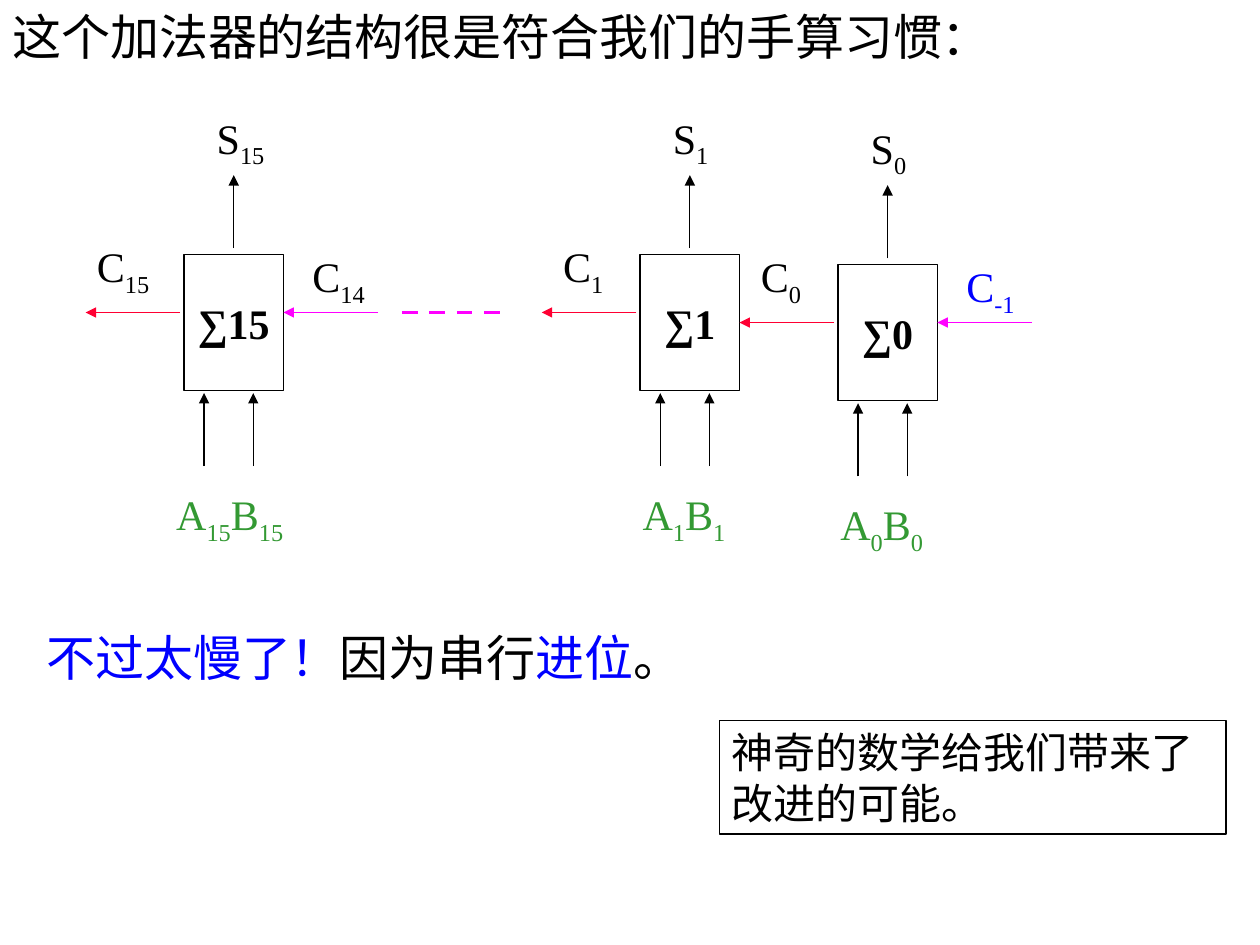
from lxml import etree
from pptx import Presentation
from pptx.dml.color import RGBColor
from pptx.enum.dml import MSO_LINE
from pptx.enum.shapes import MSO_CONNECTOR, MSO_SHAPE
from pptx.enum.text import MSO_ANCHOR, PP_ALIGN
from pptx.oxml.ns import qn
from pptx.util import Inches, Pt

STRAIGHT = MSO_CONNECTOR.STRAIGHT
RECTANGLE = MSO_SHAPE.RECTANGLE
MIDDLE = MSO_ANCHOR.MIDDLE
LEFT, CENTER = PP_ALIGN.LEFT, PP_ALIGN.CENTER
DASH = MSO_LINE.DASH

FONT = "Times New Roman"
BLACK, WHITE, BLUE = "000000", "FFFFFF", "0000FF"
RED, MAGENTA, GREEN = "FF0033", "FF00FF", "339933"
ADDER_WIDTH, ADDER_HEIGHT = 0.79, 1.08
CARRY_OFFSET = 0.46
SPACE = 0.08
RIGHT_SIDE = 3


def color(hex_string):
    return RGBColor.from_string(hex_string)


def write(shape, spans, size=24, bold=False, align=LEFT, before=0, indent=0):
    """Fill a shape with one paragraph of (text, colour, is_subscript) spans."""
    frame = shape.text_frame
    frame.margin_left = Inches(0.1 + indent)
    para = frame.paragraphs[0]
    para.alignment = align
    para.space_before = Pt(before)
    for text, hue, is_subscript in spans:
        span = para.add_run()
        span.text = text
        span.font.name = FONT
        span.font.size = Pt(size)
        span.font.bold = bold
        span.font.color.rgb = color(hue)
        if is_subscript:
            span.font._element.set("baseline", "-25000")


def add_text(page, left, top, width, height, spans, **style):
    box = page.shapes.add_textbox(
        Inches(left), Inches(top), Inches(width), Inches(height))
    box.text_frame.word_wrap = True
    write(box, spans, **style)


def add_symbol(page, left, top, width, parts, hue=BLACK, indent=0):
    """Write letters and their subscripts, given in turn."""
    spans = [(part, hue, place % 2 == 1) for place, part in enumerate(parts)]
    add_text(page, left, top, width, 0.56, spans, indent=indent)


def add_rectangle(page, left, top, width, height, fill=None):
    box = page.shapes.add_shape(
        RECTANGLE, Inches(left), Inches(top), Inches(width), Inches(height))
    box.shadow.inherit = False
    if fill:
        box.fill.solid()
        box.fill.fore_color.rgb = color(fill)
    else:
        box.fill.background()
    box.line.color.rgb = color(BLACK)
    box.line.width = Pt(0.75)
    return box


def add_line(page, start, end, hue=BLACK, width=0.75, arrow=True, dash=None):
    line = page.shapes.add_connector(
        STRAIGHT, *(Inches(value) for value in (*start, *end)))
    line.line.color.rgb = color(hue)
    line.line.width = Pt(width)
    if dash:
        line.line.dash_style = dash
    if arrow:
        outline = line.line._get_or_add_ln()
        etree.SubElement(outline, qn("a:tailEnd"), type="triangle")
    etree.SubElement(line._element.spPr, qn("a:effectLst"))
    return line


def add_adder(page, index, left, top):
    """Draw one adder with its sum output and its two operand inputs."""
    adder = add_rectangle(page, left, top, ADDER_WIDTH, ADDER_HEIGHT, WHITE)
    adder.text_frame.word_wrap = False
    adder.text_frame.vertical_anchor = MIDDLE
    write(adder, [(f"∑{index}", BLACK, False)], bold=True, align=CENTER)

    center = left + ADDER_WIDTH / 2
    add_line(page, (center, top - 0.05), (center, top - 0.63))
    for offset in (0.16, 0.55):
        add_line(page, (left + offset, top + 1.68), (left + offset, top + 1.1))

    add_symbol(page, left + 0.08, top - 1.18, 0.71, ["S", index], indent=SPACE)
    operand_indent = SPACE if len(index) == 1 else 0
    add_symbol(page, left - 0.16, top + 1.81, 1.18,
               ["A", index, "B", index], GREEN, operand_indent)
    return adder


def add_carry_out(page, index, left, top, label_offset=0.71, receiver=None):
    height = top + CARRY_OFFSET
    arrow = add_line(page, (left - 0.03, height), (left - 0.78, height), RED)
    if receiver:
        arrow.end_connect(receiver, RIGHT_SIDE)
    add_symbol(page, left - label_offset, top - 0.16, 0.69, ["C", index])


def add_carry_in(page, index, left, top, hue):
    height = top + CARRY_OFFSET
    edge = left + ADDER_WIDTH
    add_line(page, (edge + 0.75, height), (edge, height), MAGENTA)
    add_symbol(page, left + 0.86, top - 0.08, 0.71, ["C", index], hue, 0.06)


def main():
    deck = Presentation()
    deck.slide_width, deck.slide_height = Inches(10), Inches(7.5)
    page = deck.slides.add_slide(deck.slide_layouts[6])

    last, first, lowest = (1.46, 2.02), (5.08, 2.02), (6.65, 2.1)
    add_adder(page, "15", *last)
    add_carry_out(page, "15", *last, label_offset=0.79)
    add_carry_in(page, "14", *last, BLACK)
    skipped_height = last[1] + CARRY_OFFSET
    add_line(page, (3.19, skipped_height), (4.06, skipped_height),
             MAGENTA, width=2.25, arrow=False, dash=DASH)

    first_adder = add_adder(page, "1", *first)
    add_carry_out(page, "1", *first)

    add_adder(page, "0", *lowest)
    add_carry_out(page, "0", *lowest, receiver=first_adder)
    add_carry_in(page, "-1", *lowest, BLUE)

    add_text(page, 0, 0, 8.23, 0.57,
             [("这个加法器的结构很是符合我们的手算习惯：", BLACK, False)],
             size=28, before=7)
    add_text(page, 0.27, 4.93, 5.43, 0.57,
             [("不过太慢了！", BLUE, False), ("因为串行", BLACK, False),
              ("进位", BLUE, False), ("。", BLACK, False)],
             size=28, before=7)
    remark = add_rectangle(page, 5.71, 5.72, 4.02, 0.9)
    remark.text_frame.word_wrap = True
    remark.text_frame.vertical_anchor = MSO_ANCHOR.TOP
    write(remark, [("神奇的数学给我们带来了改进的可能。", BLACK, False)], before=6)

    deck.save("out.pptx")


if __name__ == "__main__":
    main()
